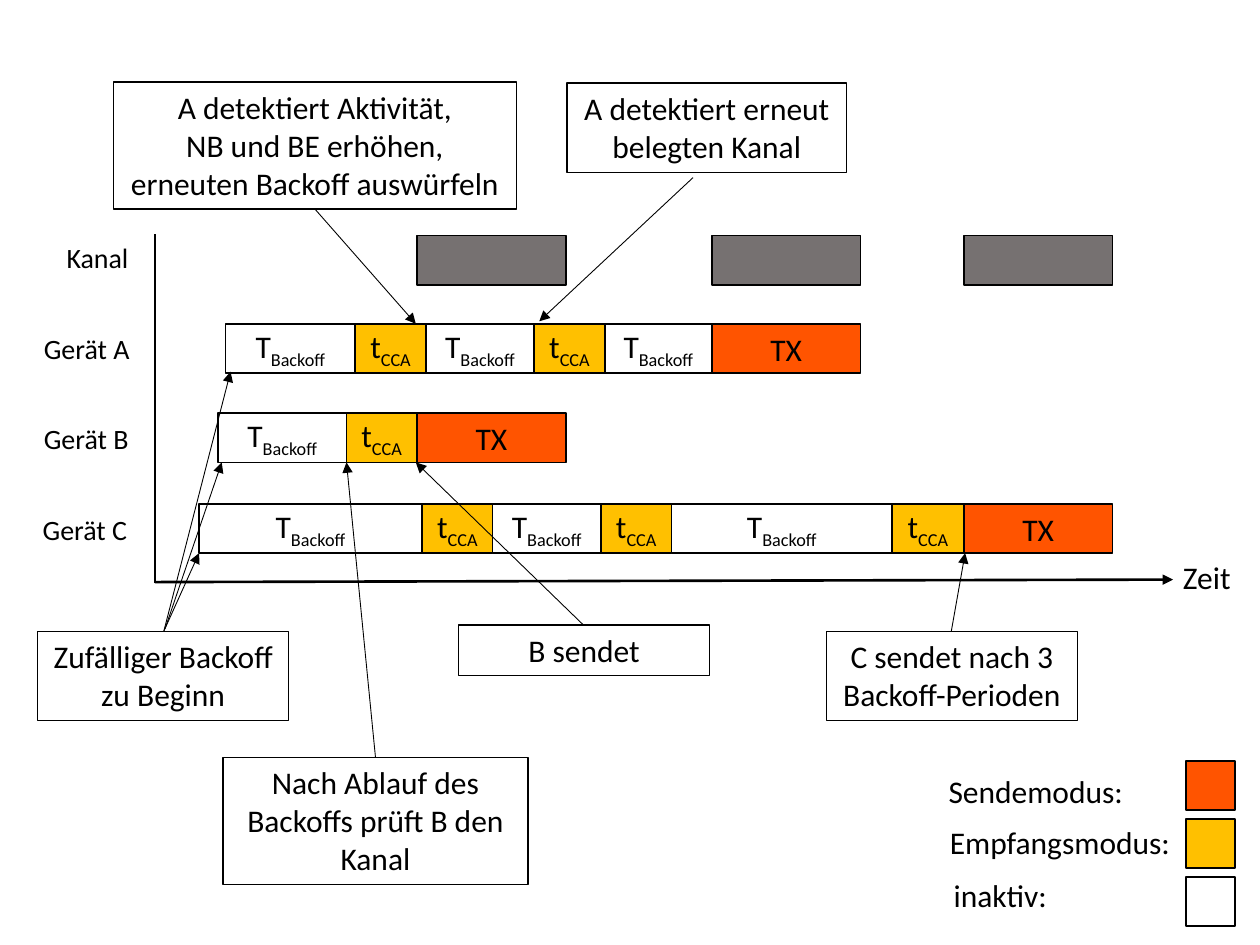
from dataclasses import dataclass

from lxml import etree
from pptx import Presentation
from pptx.dml.color import RGBColor
from pptx.enum.shapes import MSO_CONNECTOR, MSO_SHAPE
from pptx.enum.text import MSO_ANCHOR, MSO_AUTO_SIZE, PP_ALIGN
from pptx.oxml.ns import qn
from pptx.util import Inches, Pt

RECT = MSO_SHAPE.RECTANGLE
LINE = MSO_CONNECTOR.STRAIGHT
TOP, MIDDLE = MSO_ANCHOR.TOP, MSO_ANCHOR.MIDDLE
LEFT, CENTER = PP_ALIGN.LEFT, PP_ALIGN.CENTER
GROW = MSO_AUTO_SIZE.SHAPE_TO_FIT_TEXT


@dataclass(frozen=True)
class Theme:
    """Colours, font and sizes in points."""
    ink: str = "000000"
    idle: str = "FFFFFF"
    sense: str = "FFC000"
    send: str = "FF5400"
    busy: str = "767171"
    font: str = "Calibri"
    small: int = 16
    body: int = 18
    axis: float = 1.5
    frame: float = 1
    note: float = 0.75
    arrow: float = 0.5


T = Theme()
BAR = 0.39

# Slot parts: main text, subscript, fill
WAIT = ("T", "Backoff", T.idle)
CHECK = ("t", "CCA", T.sense)
SEND = ("TX", "", T.send)

# Top of the bars, slot edges; the last slot of a row is the sending one
ROWS = [
    (2.57, [1.79, 2.82, 3.38, 4.24, 4.8, 5.65, 6.83]),
    (3.28, [1.73, 2.75, 3.31, 4.49]),
    (4, [1.58, 3.35, 3.91, 4.77, 5.33, 7.08, 7.65, 8.83]),
]
BUSY_TOP = 1.87

# Text, left, top, width, height
NAMES = [
    ("Kanal", 0.43, 1.86, 0.7, 0.37),
    ("Gerät A", 0.25, 2.58, 0.89, 0.37),
    ("Gerät B", 0.25, 3.3, 0.88, 0.37),
    ("Gerät C", 0.24, 4.02, 0.88, 0.37),
]
LABELS = [
    ("Zeit", 9.29, 4.38, 0.58, 0.4),
    ("Sendemodus:", 7.43, 6.08, 1.6, 0.4),
    ("Empfangsmodus:", 7.44, 6.48, 1.97, 0.4),
    ("inaktiv:", 7.47, 6.9, 0.95, 0.4),
]
NOTES = [
    ("A detektiert Aktivität,\nNB und BE erhöhen,\verneuten Backoff auswürfeln",
     0.9, 0.65, 3.2, 1.01),
    ("A detektiert erneut belegten Kanal", 4.5, 0.66, 2.22, 0.71),
    ("Zufälliger Backoff zu Beginn", 0.3, 5.01, 1.99, 0.71),
    ("Nach Ablauf des Backoffs prüft B den Kanal", 1.77, 6.01, 2.42, 1.01),
    ("B sendet", 3.64, 4.96, 1.99, 0.4),
    ("C sendet nach 3 Backoff-Perioden", 6.56, 5.01, 1.99, 0.71),
]
# Start x, y, end x, y
ARROWS = [
    (1.3, 5.01, 1.58, 4.39),
    (1.31, 4.99, 1.76, 3.67),
    (1.3, 5.01, 1.83, 2.95),
    (2.98, 6.01, 2.75, 3.67),
    (4.63, 4.96, 3.3, 3.67),
    (7.55, 5.01, 7.66, 4.39),
    (2.5, 1.66, 3.3, 2.57),
    (5.5, 1.41, 4.28, 2.55),
]
KEYS = [T.send, T.sense, T.idle]
KEY_LEFT, KEY_TOP, KEY_STEP = 9.41, 6.04, 0.46


def style(frame, size, align):
    """Set font and alignment on every paragraph."""
    for para in frame.paragraphs:
        para.alignment = align
        para.font.name = T.font
        para.font.size = Pt(size)
        para.font.color.rgb = RGBColor.from_string(T.ink)


def box(slide, left, top, width, height, fill=None, line=T.frame):
    """Add a framed rectangle, hollow if it has no fill."""
    shape = slide.shapes.add_shape(RECT, *map(Inches, (left, top, width, height)))
    shape.shadow.inherit = False
    if fill:
        shape.fill.solid()
        shape.fill.fore_color.rgb = RGBColor.from_string(fill)
    else:
        shape.fill.background()
    shape.line.color.rgb = RGBColor.from_string(T.ink)
    shape.line.width = Pt(line)
    return shape


def slot(slide, left, right, top, kind):
    """Add one time slot with its subscripted name."""
    main, sub, fill = kind
    frame = box(slide, left, top, right - left, BAR, fill).text_frame
    frame.vertical_anchor = MIDDLE
    para = frame.paragraphs[0]
    para.add_run().text = main
    if sub:
        run = para.add_run()
        run.text = sub
        run._r.get_or_add_rPr().set("baseline", "-25000")
    style(frame, T.body, CENTER)


def note(slide, text, *place):
    """Add a framed remark."""
    frame = box(slide, *place, line=T.note).text_frame
    frame.text = text
    frame.word_wrap = True
    frame.auto_size = GROW
    frame.vertical_anchor = TOP
    style(frame, T.body, CENTER)


def label(slide, size, text, *place):
    """Add a one-line text box."""
    frame = slide.shapes.add_textbox(*map(Inches, place)).text_frame
    frame.text = text
    frame.word_wrap = False
    frame.auto_size = GROW
    style(frame, size, LEFT)


def line(slide, ends, width, head=True):
    """Add a straight line, with an arrowhead if wanted."""
    link = slide.shapes.add_connector(LINE, *map(Inches, ends))
    link.line.color.rgb = RGBColor.from_string(T.ink)
    link.line.width = Pt(width)
    props = link._element.spPr
    if head:
        etree.SubElement(props.find(qn("a:ln")), qn("a:tailEnd"), type="triangle")
    etree.SubElement(props, qn("a:effectLst"))


def build():
    """Draw the timing chart and save it."""
    deck = Presentation()
    deck.slide_width, deck.slide_height = Inches(10), Inches(7.5)
    slide = deck.slides.add_slide(deck.slide_layouts[6])

    line(slide, (1.23, 1.86, 1.23, 4.63), T.axis, head=False)
    line(slide, (1.23, 4.62, 9.31, 4.6), T.axis)
    for name in NAMES:
        label(slide, T.small, *name)
    for text in LABELS:
        label(slide, T.body, *text)

    for top, edges in ROWS:
        pairs = list(zip(edges, edges[1:]))
        for i, (left, right) in enumerate(pairs[:-1]):
            slot(slide, left, right, top, CHECK if i % 2 else WAIT)
        left, right = pairs[-1]
        slot(slide, left, right, top, SEND)
        box(slide, left, BUSY_TOP, right - left, BAR, T.busy)

    for item in NOTES:
        note(slide, *item)
    for ends in ARROWS:
        line(slide, ends, T.arrow)
    for i, fill in enumerate(KEYS):
        box(slide, KEY_LEFT, KEY_TOP + i * KEY_STEP, BAR, BAR, fill)

    deck.save("out.pptx")


build()
